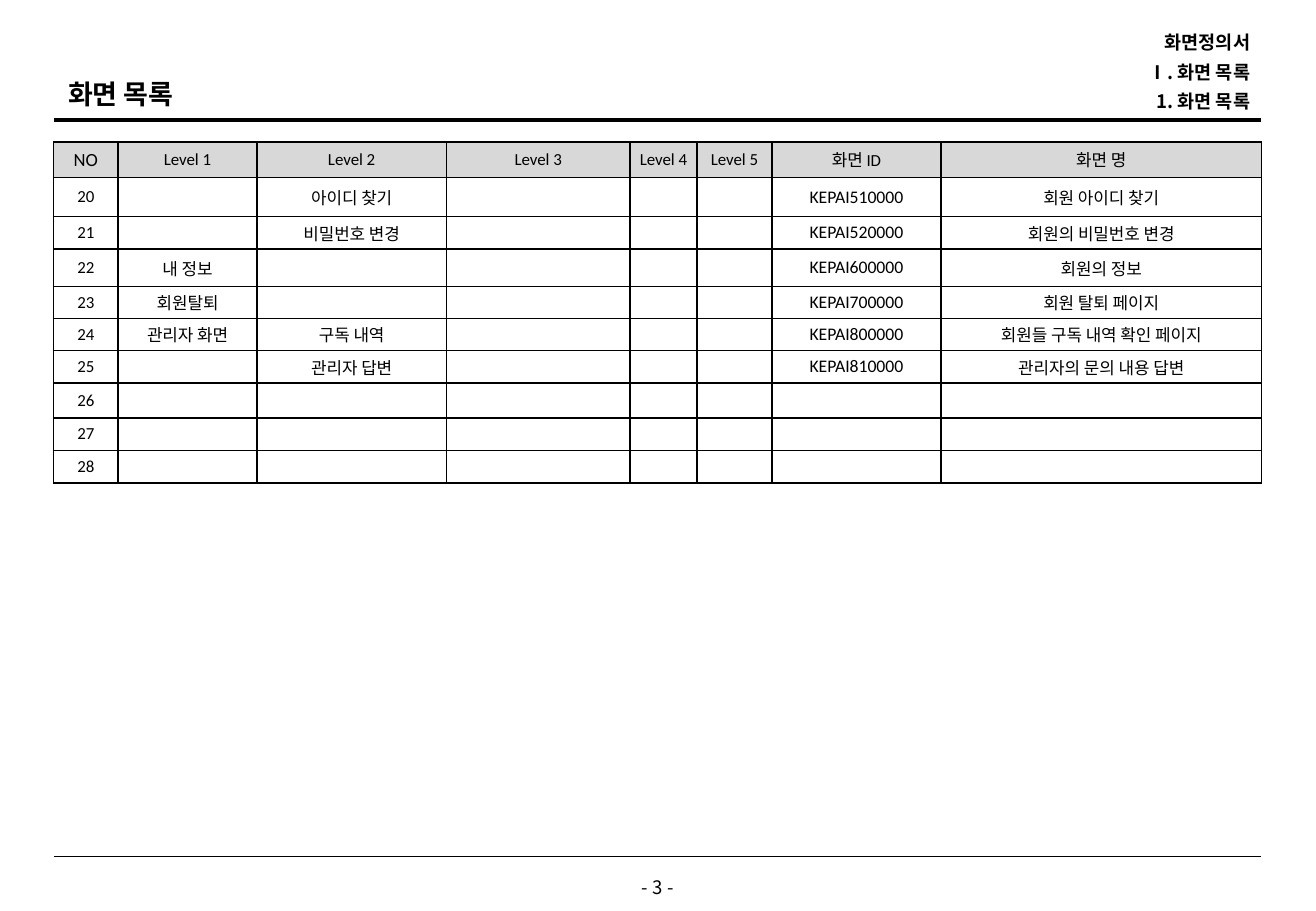
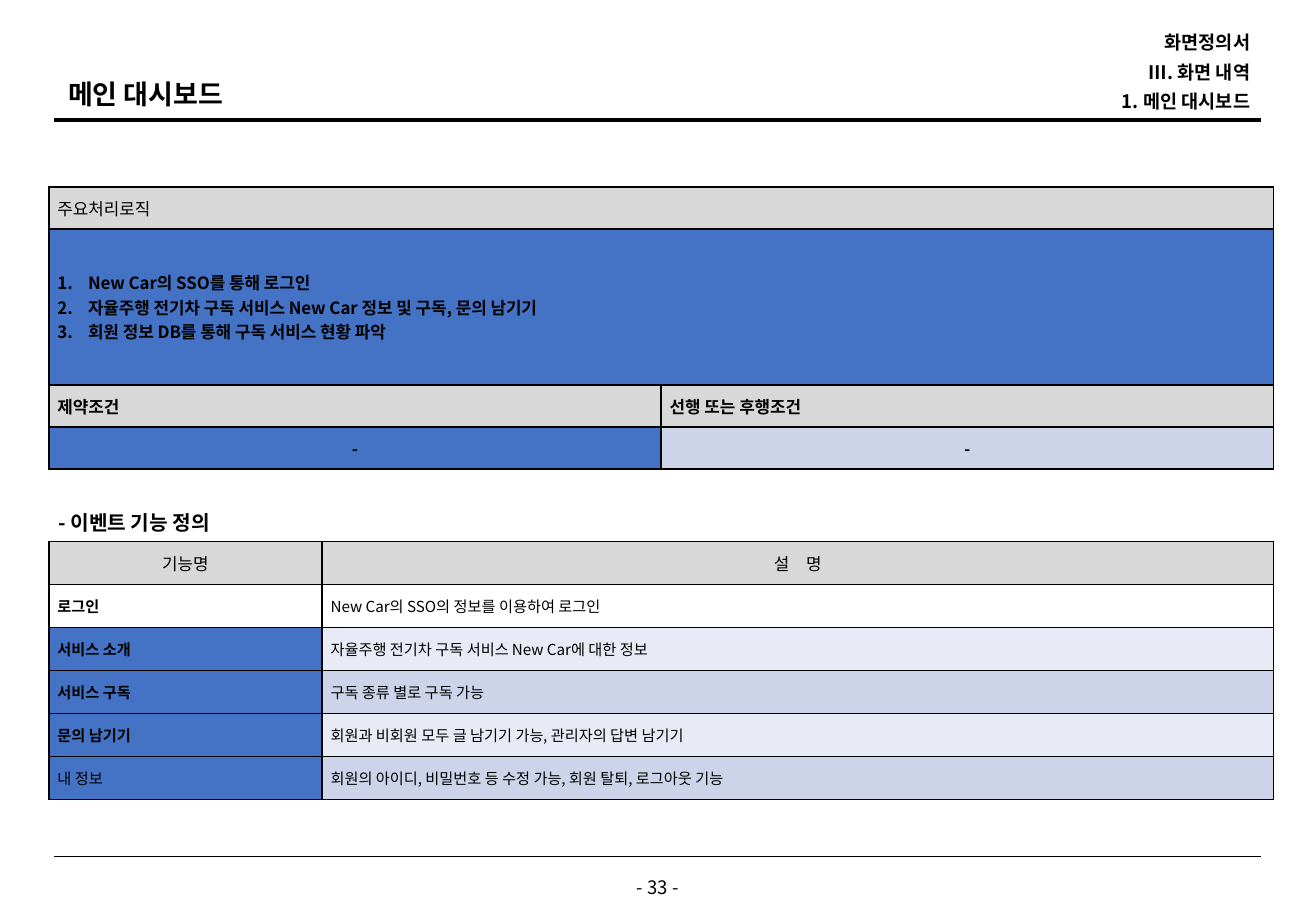
from dataclasses import dataclass

from lxml import etree
from pptx import Presentation
from pptx.dml.color import RGBColor
from pptx.enum.shapes import MSO_CONNECTOR
from pptx.enum.text import MSO_ANCHOR, MSO_AUTO_SIZE, PP_ALIGN
from pptx.oxml.ns import qn
from pptx.slide import Slide
from pptx.table import Table, _Cell
from pptx.text.text import TextFrame, _Paragraph
from pptx.util import Cm, Pt

LEFT, CENTER, RIGHT, JUSTIFY = PP_ALIGN.LEFT, PP_ALIGN.CENTER, PP_ALIGN.RIGHT, PP_ALIGN.JUSTIFY
TOP, MIDDLE = MSO_ANCHOR.TOP, MSO_ANCHOR.MIDDLE
NO_AUTOFIT = MSO_AUTO_SIZE.NONE
STRAIGHT = MSO_CONNECTOR.STRAIGHT

COLORS = {
    "black": "000000",
    "white": "FFFFFF",
    "gray": "D8D8D8",
    "blue": "4472C4",
    "band_light": "E8EBF5",
    "band_dark": "CDD4EA",
}
KOREAN_FONT = "Noto Sans CJK KR"
LATIN_FONT = "Calibri"
COMPARISON_LAYOUT = 4


@dataclass(frozen=True)
class TextStyle:
    size: float
    bold: bool = False
    align: PP_ALIGN = LEFT
    font: str = KOREAN_FONT
    line_spacing: float = 1.0


@dataclass(frozen=True)
class Box:
    left: float
    top: float
    width: float
    height: float


@dataclass(frozen=True)
class CellLook:
    style: TextStyle
    fill: str = ""
    margin: float = 0.18


@dataclass(frozen=True)
class Page:
    title: str
    headers: tuple[str, str, str]
    number: int


# Shared text styles
TITLE_STYLE = TextStyle(16, True, line_spacing=0.9)
HEADER_STYLE = TextStyle(11, True, RIGHT, line_spacing=0.9)
NUMBER_STYLE = TextStyle(11, align=CENTER, line_spacing=1.09)

# Shared places, in centimetres
TITLE_BOX = Box(1.17, 1.57, 17.2, 0.81)
HEADER_TOPS = (0.66, 1.28, 1.89)
NUMBER_BOX = Box(10.41, 18.26, 6.68, 0.53)
RULES = ((2.51, 2.25), (17.91, 0.75))
RULE_LEFT, RULE_RIGHT = 1.14, 26.37


def rgb(name: str) -> RGBColor:
    return RGBColor.from_string(COLORS[name])


def format_paragraph(paragraph: _Paragraph, style: TextStyle) -> None:
    paragraph.alignment = style.align
    paragraph.line_spacing = style.line_spacing
    paragraph.space_before = Pt(0)
    for run in paragraph.runs:
        run.font.size = Pt(style.size)
        run.font.bold = style.bold
        run.font.color.rgb = rgb("black")
        run.font.name = style.font
        etree.SubElement(run.font._element, qn("a:ea"), typeface=KOREAN_FONT)
    if not paragraph.runs:
        etree.SubElement(paragraph._p, qn("a:endParaRPr"), sz=str(int(style.size * 100)))


def fill_frame(frame: TextFrame, text: str, style: TextStyle, anchor: MSO_ANCHOR) -> None:
    frame.text = text
    frame.word_wrap = True
    frame.auto_size = NO_AUTOFIT
    frame.vertical_anchor = anchor
    for paragraph in frame.paragraphs:
        format_paragraph(paragraph, style)


def fill_placeholder(slide: Slide, index: int, box: Box, text: str,
                     style: TextStyle, anchor: MSO_ANCHOR) -> None:
    shape = slide.placeholders[index]
    shape.left, shape.top = Cm(box.left), Cm(box.top)
    shape.width, shape.height = Cm(box.width), Cm(box.height)
    properties = shape.text_frame.paragraphs[0]._p.get_or_add_pPr()
    fill_frame(shape.text_frame, text, style, anchor)
    properties = shape.text_frame.paragraphs[0]._p.get_or_add_pPr()
    properties.set("marL", "0")
    properties.set("indent", "0")
    etree.SubElement(properties, qn("a:buNone"))


def add_text(slide: Slide, box: Box, text: str, style: TextStyle,
             anchor: MSO_ANCHOR = TOP, margins: bool = True) -> None:
    shape = slide.shapes.add_textbox(Cm(box.left), Cm(box.top), Cm(box.width), Cm(box.height))
    frame = shape.text_frame
    if not margins:
        frame.margin_left = frame.margin_right = frame.margin_top = frame.margin_bottom = 0
    fill_frame(frame, text, style, anchor)


def add_rule(slide: Slide, y: float, weight: float) -> None:
    line = slide.shapes.add_connector(STRAIGHT, Cm(RULE_LEFT), Cm(y), Cm(RULE_RIGHT), Cm(y))
    line.line.color.rgb = rgb("black")
    line.line.width = Pt(weight)
    etree.SubElement(line._element.spPr, qn("a:effectLst"))


def add_page(presentation: Presentation, page: Page) -> Slide:
    """Add a slide with title, header lines, rules and page number."""
    slide = presentation.slides.add_slide(presentation.slide_layouts[COMPARISON_LAYOUT])
    fill_placeholder(slide, 0, TITLE_BOX, page.title, TITLE_STYLE, TOP)
    for index, (top, text) in enumerate(zip(HEADER_TOPS, page.headers), start=1):
        fill_placeholder(slide, index, Box(18.59, top, 7.8, 0.51), text, HEADER_STYLE, MIDDLE)
    spare = slide.placeholders[4]._element
    spare.getparent().remove(spare)
    for y, weight in RULES:
        add_rule(slide, y, weight)
    add_text(slide, NUMBER_BOX, f"- {page.number} -", NUMBER_STYLE, MIDDLE, margins=False)
    return slide


def add_borders(cell: _Cell) -> None:
    properties = cell._tc.get_or_add_tcPr()
    for position, side in enumerate(("lnL", "lnR", "lnT", "lnB")):
        border = etree.Element(qn(f"a:{side}"), w=str(Pt(1)))
        fill = etree.SubElement(border, qn("a:solidFill"))
        etree.SubElement(fill, qn("a:srgbClr"), val=COLORS["black"])
        properties.insert(position, border)


def fill_cell(cell: _Cell, text: str, look: CellLook) -> None:
    add_borders(cell)
    if look.fill:
        cell.fill.solid()
        cell.fill.fore_color.rgb = rgb(look.fill)
    else:
        cell.fill.background()
    cell.margin_left = cell.margin_right = Cm(look.margin)
    cell.margin_top = cell.margin_bottom = 0
    cell.vertical_anchor = MIDDLE
    cell.text_frame.text = text
    for paragraph in cell.text_frame.paragraphs:
        format_paragraph(paragraph, look.style)


def add_grid(slide: Slide, left: float, top: float,
             widths: list[float], heights: list[float]) -> Table:
    frame = slide.shapes.add_table(len(heights), len(widths), Cm(left), Cm(top),
                                   Cm(sum(widths)), Cm(sum(heights)))
    table = frame.table
    table.first_row = table.horz_banding = False
    for column, width in zip(table.columns, widths):
        column.width = Cm(width)
    for row, height in zip(table.rows, heights):
        row.height = Cm(height)
    return table


def number_paragraph(paragraph: _Paragraph) -> None:
    properties = paragraph._p.get_or_add_pPr()
    properties.set("marL", str(Cm(0.64)))
    properties.set("indent", str(Cm(-0.64)))
    color = etree.SubElement(properties, qn("a:buClr"))
    etree.SubElement(color, qn("a:srgbClr"), val=COLORS["black"])
    etree.SubElement(properties, qn("a:buAutoNum"), type="arabicPeriod")


# Screen list
SCREEN_HEADINGS = ("NO", "Level 1", "Level 2", "Level 3", "Level 4", "Level 5", "화면 ID", "화면 명")
FIRST_SCREEN = 20
# Level 1, level 2, screen ID, screen name
SCREENS = (
    ("", "아이디 찾기", "KEPAI510000", "회원 아이디 찾기"),
    ("", "비밀번호 변경", "KEPAI520000", "회원의 비밀번호 변경"),
    ("내 정보", "", "KEPAI600000", "회원의 정보"),
    ("회원탈퇴", "", "KEPAI700000", "회원 탈퇴 페이지"),
    ("관리자 화면", "구독 내역", "KEPAI800000", "회원들 구독 내역 확인 페이지"),
    ("", "관리자 답변", "KEPAI810000", "관리자의 문의 내용 답변"),
) + (("",) * 4,) * 3


def build_screen_list(presentation: Presentation) -> None:
    slide = add_page(presentation, Page("화면 목록", ("화면정의서", "Ⅰ. 화면 목록", "1. 화면 목록"), 3))
    table = add_grid(slide, 1.12, 2.97, [1.35, 2.9, 3.96, 3.84, 1.4, 1.57, 3.53, 6.7],
                     [0.74, 0.82, 0.68, 0.78, 0.67, 0.67, 0.68, 0.73, 0.68, 0.68])
    id_column = SCREEN_HEADINGS.index("화면 ID")
    for column, heading in enumerate(SCREEN_HEADINGS):
        style = TextStyle(10 if column else 11, align=CENTER, font=LATIN_FONT)
        fill_cell(table.cell(0, column), heading, CellLook(style, "gray", 0.1))
    for row, (level_1, level_2, screen_id, name) in enumerate(SCREENS, start=1):
        number = str(FIRST_SCREEN + row - 1)
        values = (number, level_1, level_2, "", "", "", screen_id, name)
        for column, value in enumerate(values):
            style = TextStyle(10.5 if column == id_column else 10, align=CENTER, font=LATIN_FONT)
            fill_cell(table.cell(row, column), value, CellLook(style, margin=0.03))


# Main dashboard
LOGIC_STEPS = (
    "New Car의 SSO를 통해 로그인",
    "자율주행 전기차 구독 서비스 New Car 정보 및 구독, 문의 남기기",
    "회원 정보 DB를 통해 구독 서비스 현황 파악",
)
# Function, description, fills of the two cells
FUNCTIONS = (
    ("로그인", "New Car의 SSO의 정보를 이용하여 로그인", "white", "white"),
    ("서비스 소개", "자율주행 전기차 구독 서비스 New Car에 대한 정보", "blue", "band_light"),
    ("서비스 구독", "구독 종류 별로 구독 가능", "blue", "band_dark"),
    ("문의 남기기", "회원과 비회원 모두 글 남기기 가능, 관리자의 답변 남기기", "blue", "band_light"),
    ("내 정보", "회원의 아이디, 비밀번호 등 수정 가능, 회원 탈퇴, 로그아웃 기능", "blue", "band_dark"),
)
TABLE_LEFT = 1.02


def add_logic_table(slide: Slide) -> None:
    table = add_grid(slide, TABLE_LEFT, 3.91, [12.8, 12.8], [0.88, 3.26, 0.88, 0.88])
    for row in range(2):
        table.cell(row, 0).merge(table.cell(row, 1))
    bold = TextStyle(10, True)
    bold_justified = TextStyle(10, True, JUSTIFY)
    bold_centered = TextStyle(10, True, CENTER)
    cells = (
        (0, 0, "주요처리로직", CellLook(TextStyle(10), "gray")),
        (1, 0, "\n".join(LOGIC_STEPS), CellLook(bold, "blue")),
        (2, 0, "제약조건", CellLook(bold_justified, "gray")),
        (2, 1, "선행 또는 후행조건", CellLook(bold_justified, "gray")),
        (3, 0, "-", CellLook(bold_centered, "blue")),
        (3, 1, "-", CellLook(bold_centered, "band_dark")),
    )
    for row, column, text, look in cells:
        fill_cell(table.cell(row, column), text, look)
    for row in range(2):
        add_borders(table.cell(row, 1))
    for paragraph in table.cell(1, 0).text_frame.paragraphs:
        number_paragraph(paragraph)


def add_function_table(slide: Slide) -> None:
    table = add_grid(slide, TABLE_LEFT, 11.32, [5.71, 19.89], [0.9] * (len(FUNCTIONS) + 1))
    for column, heading in enumerate(("기능명", "설　명")):
        fill_cell(table.cell(0, column), heading, CellLook(TextStyle(10, align=CENTER), "gray"))
    for row, (name, description, name_fill, text_fill) in enumerate(FUNCTIONS, start=1):
        name_style = TextStyle(9, row < len(FUNCTIONS), JUSTIFY)
        fill_cell(table.cell(row, 0), name, CellLook(name_style, name_fill))
        fill_cell(table.cell(row, 1), description, CellLook(TextStyle(9, align=JUSTIFY), text_fill))


def build_dashboard(presentation: Presentation) -> None:
    slide = add_page(presentation, Page(
        "메인 대시보드", ("화면정의서", "Ⅲ. 화면 내역", "1. 메인 대시보드"), 33))
    add_function_table(slide)
    add_text(slide, Box(0.97, 10.54, 5.21, 0.79), "- 이벤트 기능 정의", TextStyle(12, True))
    add_logic_table(slide)


def main() -> None:
    presentation = Presentation()
    presentation.slide_width, presentation.slide_height = Cm(27.51), Cm(19.05)
    build_screen_list(presentation)
    build_dashboard(presentation)
    presentation.save("out.pptx")


if __name__ == "__main__":
    main()
